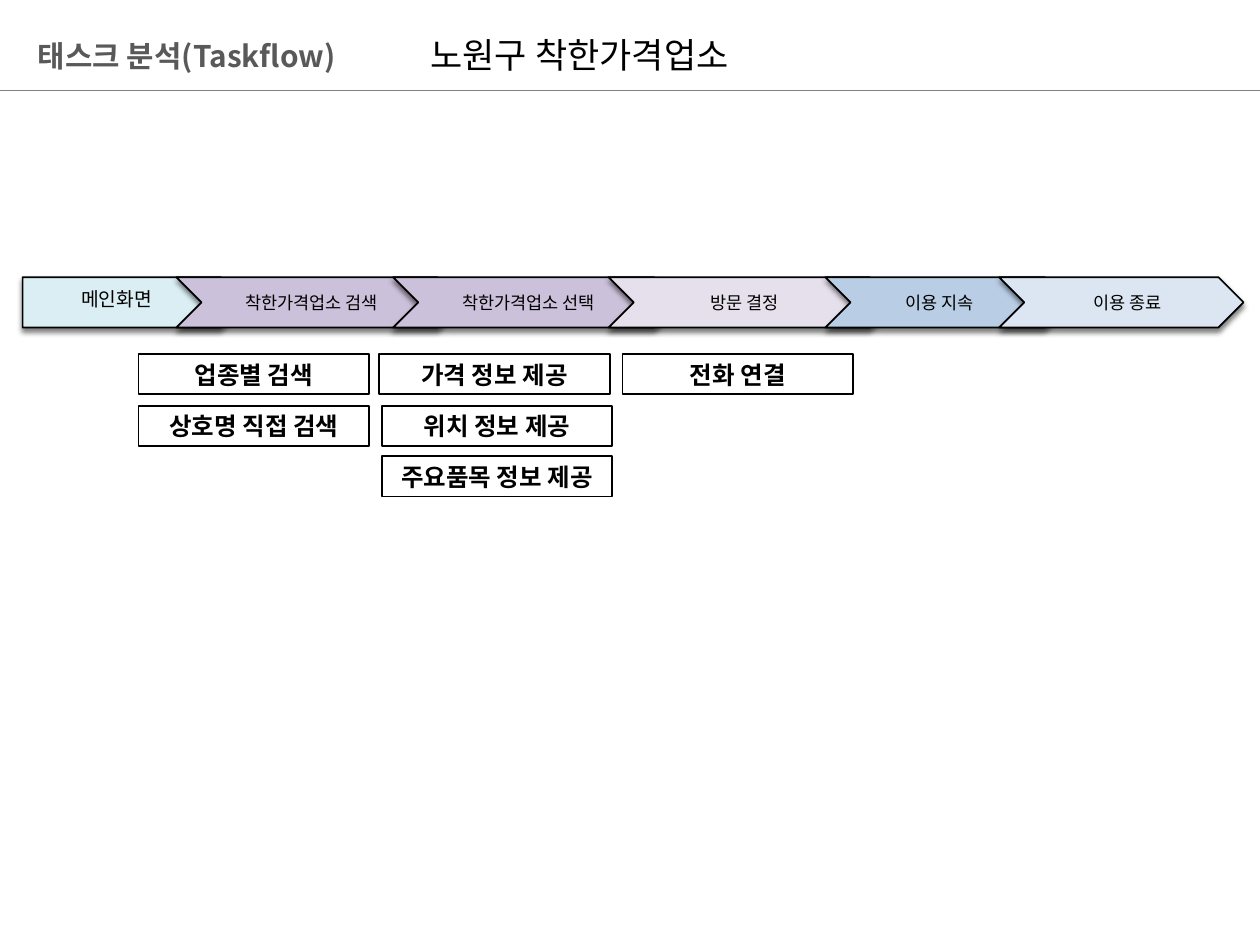
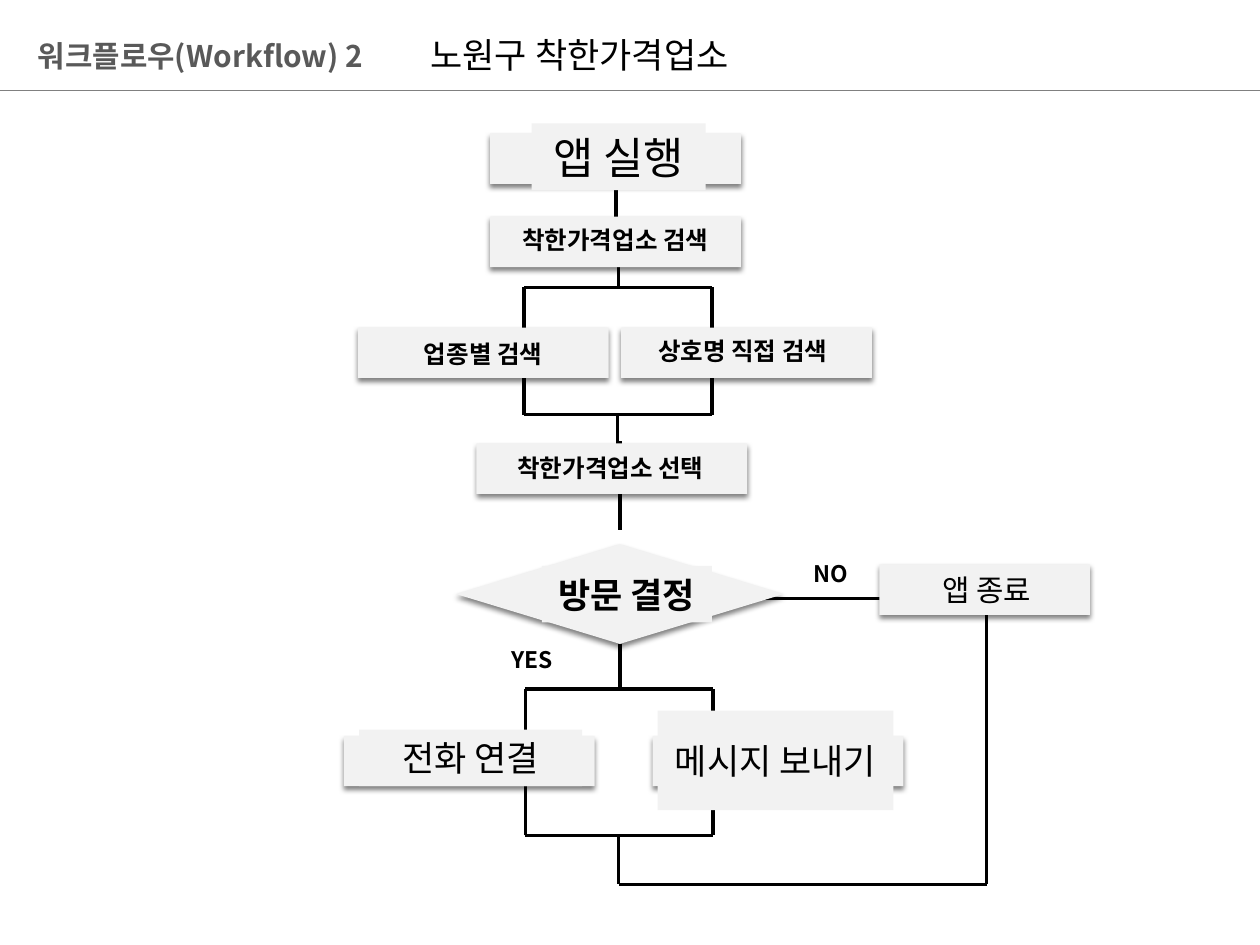
from lxml import etree
from pptx import Presentation
from pptx import util as u
from pptx.dml.color import RGBColor
from pptx.enum import shapes, text
from pptx.oxml import parse_xml
from pptx.oxml.ns import nsdecls, qn

FONT = "Noto Sans CJK KR"
SUBJECT = "노원구 착한가격업소"
COLORS = {
    "ink": "000000",
    "title": "595959",
    "rule": "808080",
    "node": "F2F2F2",
    "start": "DBEEF4",
    "browse": "CCC1DA",
    "decide": "E6E0EC",
    "use": "B9CDE5",
    "finish": "DCE6F2",
}
SHADOW = (
    f'<a:effectLst {nsdecls("a")}>'
    '<a:outerShdw blurRad="38100" dist="25400" dir="5400000" rotWithShape="0">'
    '<a:srgbClr val="000000"><a:alpha val="50000"/></a:srgbClr>'
    "</a:outerShdw></a:effectLst>"
)
BAND_TOP, BAND_HEIGHT = 2.2, 0.4
FORK_SPAN, FORK_LEG = 1.49, 0.44


def rgb(name):
    return RGBColor.from_string(COLORS[name])


def inches(*lengths):
    return [u.Inches(length) for length in lengths]


def write(box, words, size, bold=False, color="ink", inset=0.04,
          align=text.PP_ALIGN.CENTER, anchor=text.MSO_ANCHOR.MIDDLE):
    frame = box.text_frame
    margin = u.Inches(inset)
    frame_format = {
        "margin_left": margin, "margin_right": margin,
        "margin_top": margin, "margin_bottom": margin,
        "word_wrap": True, "vertical_anchor": anchor,
        "auto_size": text.MSO_AUTO_SIZE.SHAPE_TO_FIT_TEXT,
    }
    for name, value in frame_format.items():
        setattr(frame, name, value)
    para = frame.paragraphs[0]
    para.alignment = align
    span = para.add_run()
    span.text = words
    for name, value in {"name": FONT, "size": u.Pt(size), "bold": bold}.items():
        setattr(span.font, name, value)
    span.font.color.rgb = rgb(color)
    etree.SubElement(span.font._element, qn("a:ea")).set("typeface", FONT)


def add_text(page, at, words, size, **style):
    write(page.shapes.add_textbox(*inches(*at)), words, size, **style)


def add_line(page, start, end, color="ink", width=2):
    line = page.shapes.add_connector(
        shapes.MSO_CONNECTOR.STRAIGHT, *inches(*start, *end))
    line.line.color.rgb = rgb(color)
    line.line.width = u.Pt(width)
    etree.SubElement(line._element.spPr, qn("a:effectLst"))


def add_box(parent, kind, at, fill=None, outlined=False, shadowed=False):
    box = parent.shapes.add_shape(kind, *inches(*at))
    if fill:
        box.fill.solid()
        box.fill.fore_color.rgb = rgb(fill)
    else:
        box.fill.background()
    if outlined:
        box.line.color.rgb = rgb("ink")
        box.line.width = u.Pt(1)
    else:
        box.line.fill.background()
    if shadowed:
        box._element.spPr.append(parse_xml(SHADOW))
    else:
        box.shadow.inherit = False
    return box


def add_labelled(page, kind, at, label_at, words, size, fill="node",
                 bold=False, outlined=False):
    """Group a shadowed shape with the filled label that lies on it."""
    group = page.shapes.add_group_shape()
    add_box(group, kind, at, fill, outlined, shadowed=True)
    label = add_box(group, shapes.MSO_SHAPE.RECTANGLE, label_at, fill)
    write(label, words, size, bold, inset=0.06)


def add_fork(page, left, bar, leg):
    """Draw a bar with two legs; a negative leg points up."""
    right = left + FORK_SPAN
    add_line(page, (left, bar), (right, bar))
    for x in (left, right):
        add_line(page, (x, bar), (x, bar + leg))


def add_page(deck, title):
    page = deck.slides.add_slide(deck.slide_layouts[6])
    add_line(page, (0, 0.72), (10, 0.72), "rule", 0.25)
    add_text(page, (0.26, 0.26, 3.01, 0.37), title, 17, bold=True, color="title",
             align=text.PP_ALIGN.LEFT, anchor=text.MSO_ANCHOR.TOP)
    add_text(page, (2.94, 0.22, 3.32, 0.42), SUBJECT, 20)
    return page


def build_taskflow(deck):
    page = add_page(deck, "태스크 분석(Taskflow)")
    add_labelled(page, shapes.MSO_SHAPE.PENTAGON,
                 (0.18, BAND_TOP, 1.77, BAND_HEIGHT), (0.29, 2.22, 1.27, 0.3),
                 "메인화면", 11, "start", outlined=True)
    steps = [
        ("착한가격업소 검색", "browse", 1.4, 2.27, 1.84, 1.27),
        ("착한가격업소 선택", "browse", 3.12, 2.27, 3.56, 1.27),
        ("방문 결정", "decide", 4.83, 2.27, 5.3, 1.22),
        ("이용 지속", "use", 6.55, 1.94, 6.98, 0.95),
        ("이용 종료", "finish", 7.93, 1.94, 8.46, 0.98),
    ]
    for words, fill, left, width, label_left, label_width in steps:
        add_labelled(page, shapes.MSO_SHAPE.CHEVRON,
                     (left, BAND_TOP, width, BAND_HEIGHT),
                     (label_left, 2.26, label_width, 0.28),
                     words, 10, fill, outlined=True)

    tasks = [
        ("업종별 검색", 1.1, 2.81),
        ("상호명 직접 검색", 1.1, 3.22),
        ("가격 정보 제공", 3.01, 2.81),
        ("위치 정보 제공", 3.03, 3.22),
        ("주요품목 정보 제공", 3.03, 3.62),
        ("전화 연결", 4.94, 2.81),
    ]
    for words, left, top in tasks:
        task = add_box(page, shapes.MSO_SHAPE.RECTANGLE,
                       (left, top, 1.83, 0.32), outlined=True)
        write(task, words, 14, bold=True)


def build_workflow(deck):
    page = add_page(deck, "워크플로우(Workflow) 2")
    stems = [(4.89, 1.46, 1.73), (4.91, 2.12, 2.28), (4.9, 3.29, 3.68),
             (4.92, 3.5, 4.21), (4.92, 5.11, 5.47), (4.91, 6.63, 7.02),
             (7.83, 4.52, 7.02)]
    for x, top, bottom in stems:
        add_line(page, (x, top), (x, bottom))
    for left, right, y in [(5.93, 7.21, 4.75), (4.91, 7.83, 7.02)]:
        add_line(page, (left, y), (right, y))
    for left, split, join in [(4.16, 2.28, 3.29), (4.17, 5.47, 6.63)]:
        add_fork(page, left, split, FORK_LEG)
        add_fork(page, left, join, -FORK_LEG)

    nodes = [
        ("앱 실행", 25, False, (3.89, 1.06, 1.99), (4.22, 0.98, 1.38, 0.53)),
        ("착한가격업소 검색", 14, True, (3.89, 1.72, 1.99), (4, 1.73, 1.77, 0.35)),
        ("업종별 검색", 14, True, (2.84, 2.6, 1.99), (2.95, 2.63, 1.77, 0.35)),
        ("상호명 직접 검색", 14, True, (4.93, 2.6, 1.99), (5.01, 2.61, 1.77, 0.35)),
        ("착한가격업소 선택", 14, True, (3.78, 3.52, 2.15), (3.89, 3.54, 1.91, 0.35)),
        ("전화 연결", 20, False, (2.73, 5.84, 1.99), (2.85, 5.79, 1.77, 0.45)),
        ("메시지 보내기", 20, False, (5.18, 5.84, 1.99), (5.22, 5.64, 1.87, 0.79)),
        ("앱 종료", 17, False, (6.98, 4.48, 1.67), (7.17, 4.48, 1.32, 0.4)),
    ]
    for words, size, bold, place, label_at in nodes:
        add_labelled(page, shapes.MSO_SHAPE.RECTANGLE, (*place, 0.4),
                     label_at, words, size, bold=bold)
    add_labelled(page, shapes.MSO_SHAPE.FLOWCHART_DECISION,
                 (3.62, 4.32, 2.6, 0.79), (4.3, 4.49, 1.35, 0.45),
                 "방문 결정", 20, bold=True)
    for words, left, top in [("YES", 3.95, 5.08), ("NO", 6.32, 4.4)]:
        add_text(page, (left, top, 0.55, 0.3), words, 13, bold=True)


def main():
    deck = Presentation()
    deck.slide_width, deck.slide_height = inches(10, 7.5)
    build_taskflow(deck)
    build_workflow(deck)
    deck.save("out.pptx")


if __name__ == "__main__":
    main()
